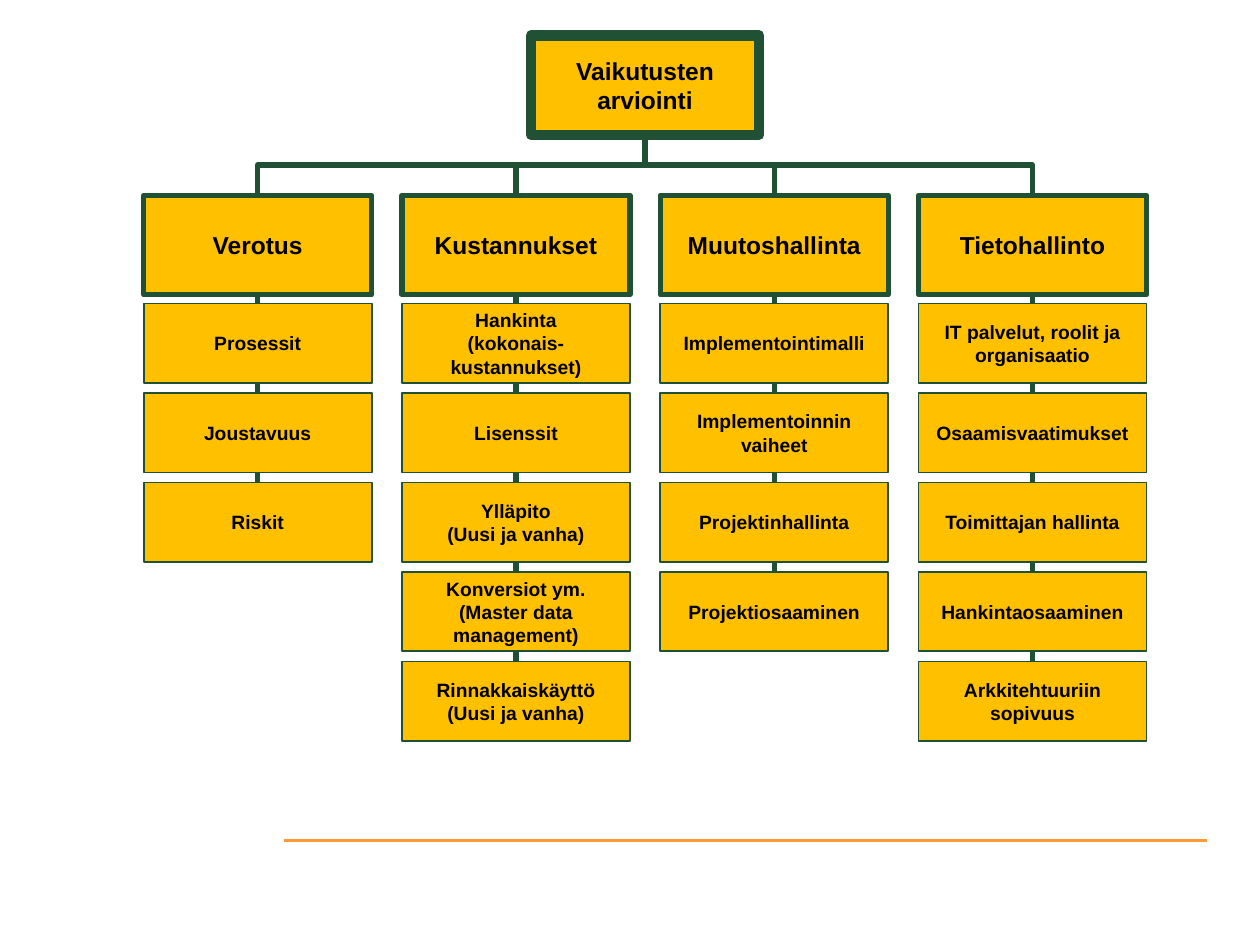
import pptx
import pptx.util
import pptx.dml.color
import pptx.enum.shapes
import pptx.enum.text
import pptx.oxml.ns

ROOT = "Vaikutusten arviointi"
TREE = {
    "Verotus": ["Prosessit", "Joustavuus", "Riskit"],
    "Kustannukset": [
        "Hankinta\n(kokonais-kustannukset)",
        "Lisenssit",
        "Ylläpito\n(Uusi ja vanha)",
        "Konversiot ym.\n(Master data management)",
        "Rinnakkaiskäyttö\n(Uusi ja vanha)",
    ],
    "Muutoshallinta": [
        "Implementointimalli",
        "Implementoinnin vaiheet",
        "Projektinhallinta",
        "Projektiosaaminen",
    ],
    "Tietohallinto": [
        "IT palvelut, roolit ja organisaatio",
        "Osaamisvaatimukset",
        "Toimittajan hallinta",
        "Hankintaosaaminen",
        "Arkkitehtuuriin sopivuus",
    ],
}
GOLD, GREEN, ORANGE, BLACK = "FFC000", "215134", "FF9933", "000000"
LEFT, STEP, WIDE = 1.14, 2.05, 1.81
ROOT_TOP, HEAD_TOP, HEAD_TALL = 0.28, 1.55, 0.79
LEAF_TOP, LEAF_STEP, LEAF_TALL = 2.41, 0.71, 0.63

inch = pptx.util.Inches
kinds = pptx.enum.shapes.MSO_CONNECTOR
deck = pptx.Presentation()
deck.slide_width, deck.slide_height = inch(10), inch(7.5)
slide = deck.slides.add_slide(deck.slide_layouts[6])


def color(code):
    return pptx.dml.color.RGBColor.from_string(code)


def stroke(line, code, width):
    line.color.rgb = color(code)
    line.width = pptx.util.Pt(width)


def add_box(text, x, y, tall, size, width):
    box = slide.shapes.add_shape(
        pptx.enum.shapes.MSO_SHAPE.RECTANGLE,
        inch(x), inch(y), inch(WIDE), inch(tall))
    box.shadow.inherit = False
    box.fill.solid()
    box.fill.fore_color.rgb = color(GOLD)
    stroke(box.line, GREEN, width)
    frame = box.text_frame
    frame.word_wrap = True
    frame.vertical_anchor = pptx.enum.text.MSO_ANCHOR.MIDDLE
    for row, part in enumerate(text.split("\n")):
        para = frame.add_paragraph() if row else frame.paragraphs[0]
        para.alignment = pptx.enum.text.PP_ALIGN.CENTER
        run = para.add_run()
        run.text = part
        run.font.name = "Arial"
        run.font.size = pptx.util.Pt(size)
        run.font.bold = True
        run.font.color.rgb = color(BLACK)
    return box


def add_line(kind, ends, code, width):
    line = slide.shapes.add_connector(kind, *map(inch, ends))
    stroke(line.line, code, width)
    props = line._element.spPr
    props.append(props.makeelement(pptx.oxml.ns.qn("a:effectLst"), {}))
    return line


def join(upper, lower):
    line = add_line(kinds.ELBOW, (0, 0, 0, 0), GREEN, 3)
    line.begin_connect(upper, 2)
    line.end_connect(lower, 0)
    x1, y1, x2, y2 = line.begin_x, line.begin_y, line.end_x, line.end_y
    long, side = y2 - y1, abs(x2 - x1)
    line.left = (x1 + x2 - long) // 2
    line.top = (y1 + y2 - side) // 2
    line.width, line.height = long, side
    right = x2 > x1
    frame = line._element.spPr.find(pptx.oxml.ns.qn("a:xfrm"))
    frame.set("rot", str((270 if right else 90) * 60000))
    frame.set("flipH", "1" if right else "0")
    frame.set("flipV", "0")


add_line(kinds.STRAIGHT, (2.25, 6.67, 9.58, 6.67), ORANGE, 1.5)
middle = LEFT + STEP * (len(TREE) - 1) / 2
root = add_box(ROOT, middle, ROOT_TOP, HEAD_TALL, 14, 6)
for col, (name, leaves) in enumerate(TREE.items()):
    x = LEFT + col * STEP
    head = add_box(name, x, HEAD_TOP, HEAD_TALL, 14, 3)
    join(root, head)
    last = len(leaves) - 1
    for row in range(last, -1, -1):
        y = LEAF_TOP + row * LEAF_STEP
        leaf = add_box(leaves[row], x, y, LEAF_TALL, 11, 1)
        if row == last:
            join(head, leaf)

deck.save("out.pptx")
